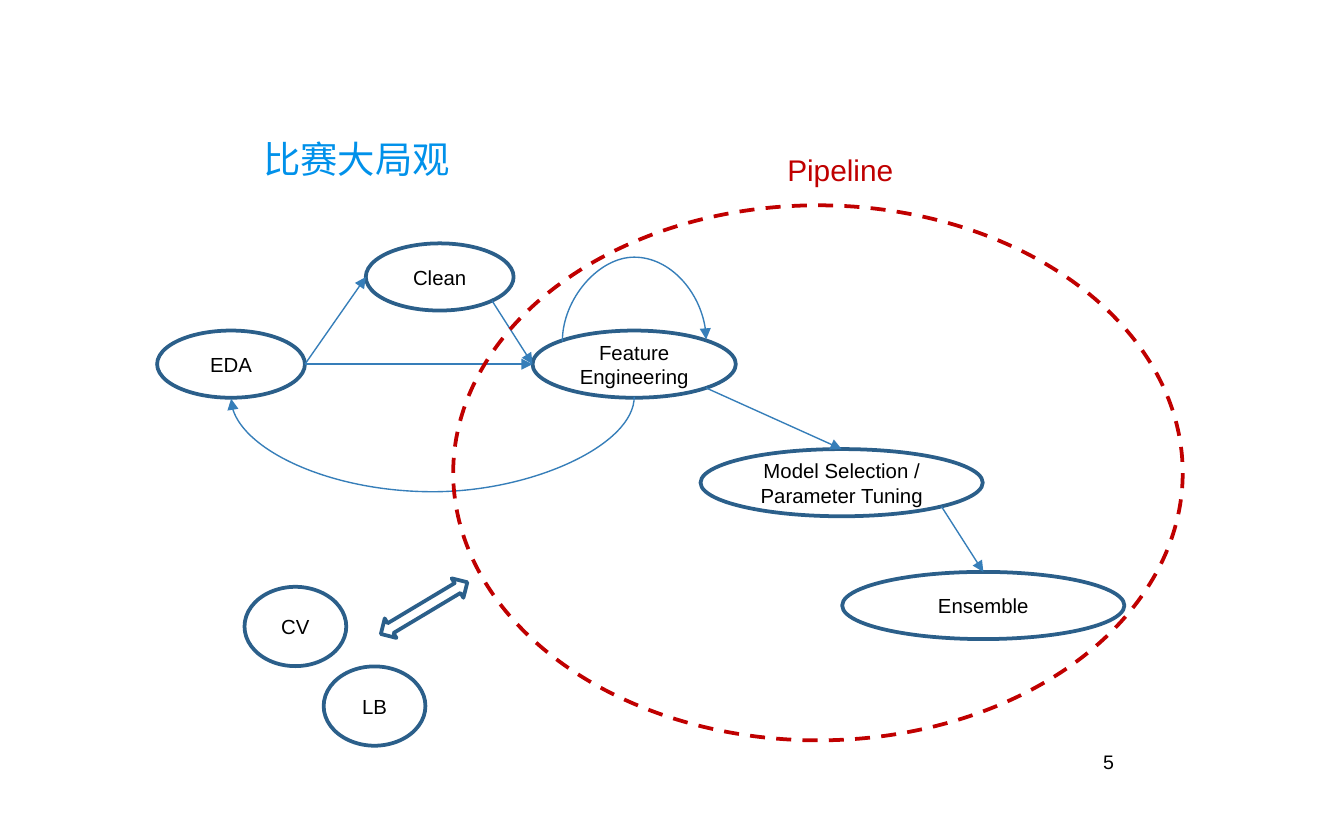
from dataclasses import dataclass
from math import cos, radians, sin
from typing import Optional

from lxml.etree import SubElement
from pptx import Presentation
from pptx.dml.color import RGBColor
from pptx.enum.dml import MSO_LINE
from pptx.enum.shapes import MSO_CONNECTOR, MSO_SHAPE
from pptx.enum.text import MSO_ANCHOR, MSO_AUTO_SIZE, PP_ALIGN
from pptx.oxml.ns import qn
from pptx.util import Pt

OUTLINE, ARROW, RED, BLUE, BLACK = "2B5F8A", "367EB9", "C00000", "0091EA", "000000"
TOP, TOP_LEFT, LEFT, BOTTOM, BOTTOM_RIGHT, RIGHT, TOP_RIGHT = 270, 225, 180, 90, 45, 0, 315


@dataclass(frozen=True)
class Oval:
    label: str
    left: float
    top: float
    width: float
    height: float = 36
    fill: Optional[str] = "FFFFFF"
    line: str = OUTLINE
    dash: Optional[MSO_LINE] = None

    def site(self, angle: float) -> tuple[float, float]:
        """Point on the rim, with the angle in degrees clockwise from the right."""
        turn = radians(angle)
        return (self.left + self.width / 2 * (1 + cos(turn)),
                self.top + self.height / 2 * (1 + sin(turn)))


@dataclass(frozen=True)
class Arrow:
    source: Oval
    source_angle: float
    target: Oval
    target_angle: float
    bulge: float = 0


EDA = Oval("EDA", 84.2, 177.1, 79.2)
CLEAN = Oval("Clean", 196, 130.4, 79.2)
FEATURE = Oval("Feature Engineering", 285.3, 177.1, 108.9)
MODEL = Oval("Model Selection / Parameter Tuning", 375.3, 240.6, 151.2)
ENSEMBLE = Oval("Ensemble", 451.2, 306.4, 151.2)
STEPS = [EDA, CLEAN, FEATURE, MODEL, ENSEMBLE]

PIPELINE = Oval("", 242.8, 110, 390.8, 286.6, None, RED, MSO_LINE.DASH)
SCORES = [Oval("CV", 131, 314.4, 54.5, 42.5, None),
          Oval("LB", 173.4, 357, 54.5, 42.5, None)]

ARROWS = [
    Arrow(EDA, RIGHT, CLEAN, LEFT),
    Arrow(FEATURE, BOTTOM_RIGHT, MODEL, TOP),
    Arrow(MODEL, BOTTOM_RIGHT, ENSEMBLE, TOP),
    Arrow(FEATURE, TOP_LEFT, FEATURE, TOP_RIGHT, bulge=45.43),
    Arrow(EDA, RIGHT, FEATURE, LEFT),
    Arrow(CLEAN, BOTTOM_RIGHT, FEATURE, LEFT),
    Arrow(FEATURE, BOTTOM, EDA, BOTTOM, bulge=51.23),
]


def color(value: str) -> RGBColor:
    return RGBColor.from_string(value)


def apply(target, formats: dict) -> None:
    for name, value in formats.items():
        setattr(target, name, value)


def write(shape, text: str, size: float, text_color: str, align=PP_ALIGN.LEFT,
          font: str = "Arial", inset: Optional[float] = None, **frame_formats) -> None:
    frame = shape.text_frame
    apply(frame, {"word_wrap": True, "auto_size": MSO_AUTO_SIZE.NONE, **frame_formats})
    if inset is not None:
        sides = ("left", "top", "right", "bottom")
        apply(frame, {f"margin_{side}": Pt(inset) for side in sides})
    para = frame.paragraphs[0]
    para.alignment = align
    span = para.add_run()
    span.text = text
    apply(span.font, {"name": font, "size": Pt(size), "bold": False})
    span.font.color.rgb = color(text_color)


def outline(shape, fill: Optional[str], line: str, dash: Optional[MSO_LINE] = None) -> None:
    shape.shadow.inherit = False
    if fill:
        shape.fill.solid()
        shape.fill.fore_color.rgb = color(fill)
    else:
        shape.fill.background()
    shape.line.color.rgb = color(line)
    apply(shape.line, {"width": Pt(2), "dash_style": dash})


def draw_oval(page, oval: Oval) -> None:
    shape = page.shapes.add_shape(MSO_SHAPE.OVAL, Pt(oval.left), Pt(oval.top),
                                  Pt(oval.width), Pt(oval.height))
    outline(shape, oval.fill, oval.line, oval.dash)
    if oval.label:
        write(shape, oval.label, 10.9, BLACK, PP_ALIGN.CENTER,
              vertical_anchor=MSO_ANCHOR.MIDDLE)


def draw_arrow(page, arrow: Arrow) -> None:
    """Draw a straight arrow, or a U-shaped one if it has a bulge.

    A U is an S-curve one point wide, turned by 90 degrees, whose
    adjustment pushes its middle out by the bulge.
    """
    begin = arrow.source.site(arrow.source_angle)
    end = arrow.target.site(arrow.target_angle)
    kind = MSO_CONNECTOR.STRAIGHT
    if arrow.bulge:
        kind = MSO_CONNECTOR.CURVE
        center_x, center_y = (begin[0] + end[0]) / 2, (begin[1] + end[1]) / 2
        half = (end[0] - begin[0]) / 2
        step = 0.5 if half > 0 else -0.5
        begin = (center_x + step, center_y + half)
        end = (center_x - step, center_y - half)
    line = page.shapes.add_connector(kind, *(Pt(value) for value in begin + end))
    line.line.color.rgb = color(ARROW)
    line.line.width = Pt(0.75)
    SubElement(line.line._get_or_add_ln(), qn("a:tailEnd"), type="triangle")
    properties = line._element.spPr
    SubElement(properties, qn("a:effectLst"))
    if arrow.bulge:
        properties.find(qn("a:xfrm")).set("rot", str(90 * 60000))
        guides = properties.find(qn("a:prstGeom")).get_or_add_avLst()
        SubElement(guides, qn("a:gd"), name="adj1",
                   fmla=f"val {round(arrow.bulge * 100000)}")


def main() -> None:
    deck = Presentation()
    apply(deck, {"slide_width": Pt(720), "slide_height": Pt(450)})
    page = deck.slides.add_slide(deck.slide_layouts[5])

    title = page.shapes.title
    apply(title, {"left": Pt(136), "top": Pt(46.8), "width": Pt(447), "height": Pt(55.4)})
    write(title, "比赛大局观", 20, BLUE, font="Roboto Slab", inset=5,
          vertical_anchor=MSO_ANCHOR.BOTTOM)
    number = page.shapes.add_textbox(Pt(586), Pt(396.7), Pt(32.4), Pt(31))
    write(number, "5", 10.5, BLACK, inset=5)

    for oval in STEPS:
        draw_oval(page, oval)
    for arrow in ARROWS:
        draw_arrow(page, arrow)
    draw_oval(page, PIPELINE)

    caption = page.shapes.add_textbox(Pt(414.7), Pt(77.8), Pt(72), Pt(26.6))
    write(caption, "Pipeline", 16, RED, word_wrap=False,
          auto_size=MSO_AUTO_SIZE.SHAPE_TO_FIT_TEXT)

    for oval in SCORES:
        draw_oval(page, oval)
    exchange = page.shapes.add_shape(MSO_SHAPE.LEFT_RIGHT_ARROW, Pt(200.2), Pt(319.7),
                                     Pt(54), Pt(12.2))
    outline(exchange, None, OUTLINE)
    exchange.rotation = 329.1

    deck.save("out.pptx")


if __name__ == "__main__":
    main()
